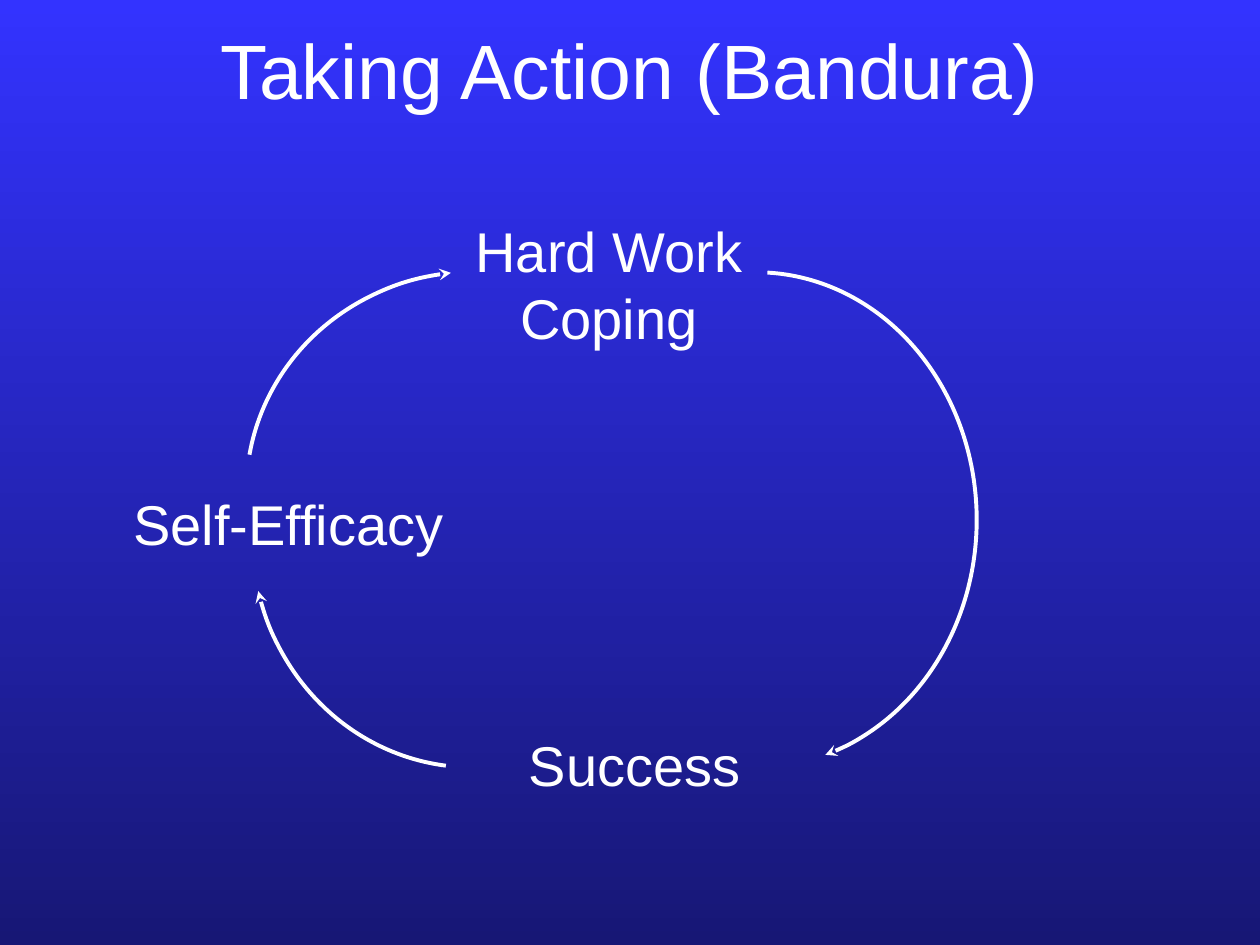
from lxml.etree import SubElement
from pptx import Presentation
from pptx.dml.color import RGBColor
from pptx.enum.shapes import MSO_SHAPE
from pptx.enum.text import MSO_ANCHOR, PP_ALIGN
from pptx.oxml.ns import qn
from pptx.util import Cm, Pt

TITLE = ("Taking Action (Bandura)", (1.9, 0.43, 21.59, 1.9))
STEPS = [
    ("Hard Work Coping", (9.1, 4.24, 6.35, 2.97)),
    ("Success", (8.46, 14.6, 8.68, 1.6)),
    ("Self-Efficacy", (1.48, 9.74, 8.68, 1.6)),
]
ARCS = [
    {"box": (10.8, 5.49, 8.89, 9.98), "angles": (272.6, 73.6), "rotation": 0},
    {"box": (5.08, 6.15, 8.89, 9.32), "angles": (96.6, 165.6), "rotation": 0},
    {"box": (5.18, 5.26, 8.89, 9.32), "angles": (96.8, 170.6), "rotation": 92.5},
]
BACKGROUND = ("3333FF", "171775")
WHITE = "FFFFFF"
ARC_UNITS_PER_DEGREE = 0.6


def color(value):
    """Turn a hex string into a colour."""
    return RGBColor.from_string(value)


def lengths(box):
    """Turn a box in centimetres into slide lengths."""
    return [Cm(v) for v in box]


def write(shape, text, size, anchor, space_before=0):
    """Put one centred white paragraph into a shape."""
    tf = shape.text_frame
    tf.word_wrap = True
    tf.vertical_anchor = anchor
    p = tf.paragraphs[0]
    p.alignment = PP_ALIGN.CENTER
    p.space_before = Pt(space_before)
    r = p.add_run()
    r.text = text
    for name, value in {"name": "Arial", "size": Pt(size)}.items():
        setattr(r.font, name, value)
    r.font.color.rgb = color(WHITE)


def add_arc(s, box, angles, rotation):
    """Draw an arc that ends in a stealth arrowhead."""
    sp = s.shapes.add_shape(MSO_SHAPE.ARC, *lengths(box))
    for i, angle in enumerate(angles):
        sp.adjustments[i] = angle * ARC_UNITS_PER_DEGREE
    sp.rotation = rotation
    sp.shadow.inherit = False
    sp.fill.background()
    sp.line.color.rgb = color(WHITE)
    sp.line.width = Pt(2.25)
    SubElement(sp.line._get_or_add_ln(), qn("a:tailEnd"), type="stealth")


def main():
    """Build the slide and save it."""
    prs = Presentation()
    prs.slide_width, prs.slide_height = Cm(25.4), Cm(19.05)
    s = prs.slides.add_slide(prs.slide_layouts[5])

    fill = s.background.fill
    fill.gradient()
    fill.gradient_angle = 270
    for stop, position, value in zip(fill.gradient_stops, (0, 1), BACKGROUND):
        stop.position = position
        stop.color.rgb = color(value)

    text, box = TITLE
    title = s.shapes.title
    title.left, title.top, title.width, title.height = lengths(box)
    write(title, text, 44, MSO_ANCHOR.MIDDLE)

    for text, box in STEPS:
        write(s.shapes.add_textbox(*lengths(box)), text, 32, MSO_ANCHOR.TOP, 20)
    for arc in ARCS:
        add_arc(s, **arc)

    prs.save("out.pptx")


if __name__ == "__main__":
    main()
